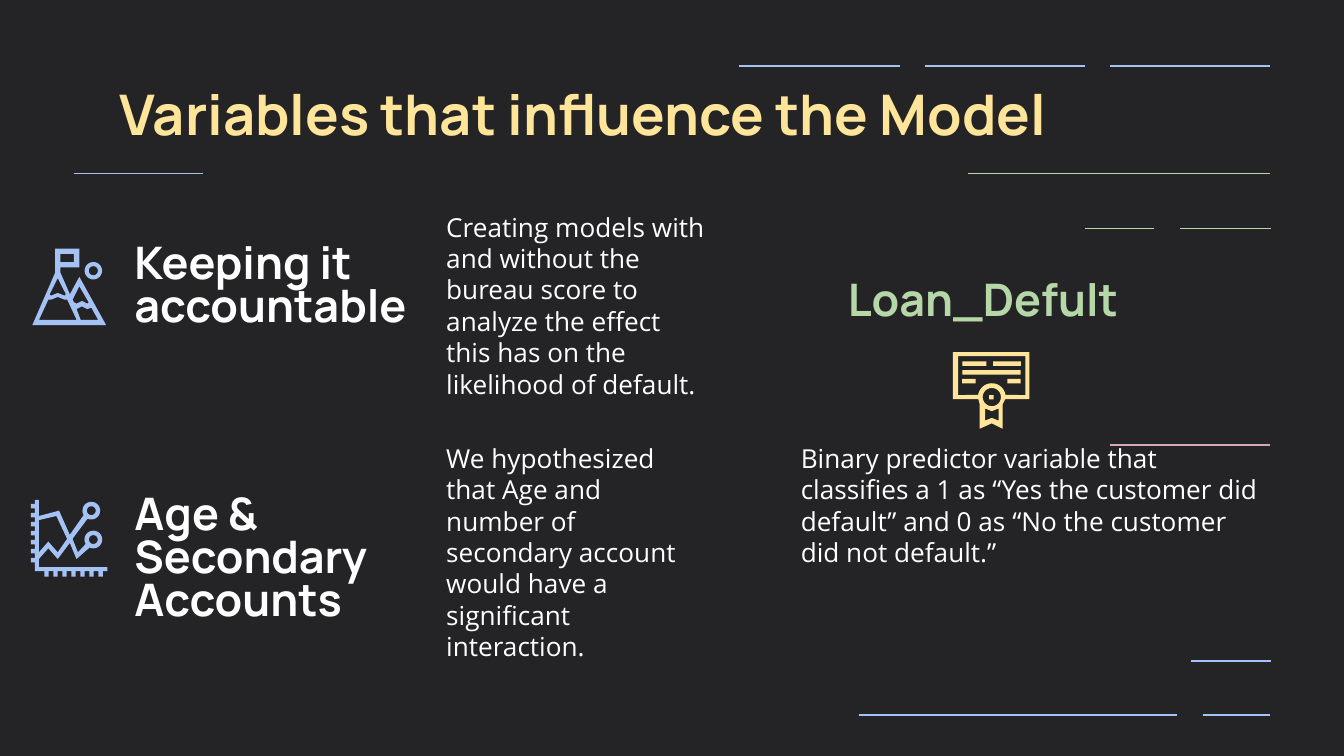
from dataclasses import dataclass
from math import cos, radians, sin

from lxml import etree
from pptx import Presentation
from pptx import util as u
from pptx.dml.color import RGBColor
from pptx.enum import shapes, text
from pptx.oxml.ns import qn

Point = tuple[float, float]
Contour = list[Point]


@dataclass(frozen=True)
class Theme:
    background: str = "242426"
    white: str = "FFFFFF"
    yellow: str = "FFE599"
    blue: str = "A4C2F4"
    green: str = "B6D7A8"
    pink: str = "D5A6BD"
    heading_font: str = "Manrope"
    body_font: str = "Open Sans"
    title_size: int = 30
    heading_size: int = 24
    body_size: int = 14
    line_width: float = 0.75


@dataclass(frozen=True)
class Rule:
    """A horizontal line, in grid units."""
    left: float
    right: float
    row: float
    color: str


@dataclass(frozen=True)
class TextBlock:
    """A text on the grid; placeholder None means a text box."""
    content: str
    placeholder: int | None
    left: float
    top: float
    width: float
    height: float
    font: str
    size: int
    color: str
    bold: bool = True
    spacing: float = 1.0
    top_inset: float = 0


THEME = Theme()
SLIDE_WIDTH, SLIDE_HEIGHT = u.Inches(10), u.Inches(5.625)
COLUMNS = 1000  # square grid cells across the slide


def grid(cells: float) -> u.Emu:
    return u.Emu(round(SLIDE_WIDTH * cells / COLUMNS))


def heading(content: str, placeholder: int | None, left: float, top: float,
            width: float, color: str = THEME.white) -> TextBlock:
    return TextBlock(content, placeholder, left, top, width, 63, THEME.heading_font,
                     THEME.heading_size, color, spacing=0.8)


def body(content: str, placeholder: int | None, left: float, top: float,
         width: float, height: float) -> TextBlock:
    return TextBlock(content, placeholder, left, top, width, height, THEME.body_font,
                     THEME.body_size, THEME.white, bold=False)


RULES = [
    Rule(55, 151, 129, THEME.blue),
    Rule(550, 670, 49, THEME.blue),
    Rule(688, 807, 49, THEME.blue),
    Rule(826, 945, 49, THEME.blue),
    Rule(720, 945, 129, THEME.green),
    Rule(807, 859, 170, THEME.green),
    Rule(878, 946, 170, THEME.green),
    Rule(826, 945, 331, THEME.pink),
    Rule(886, 946, 492, THEME.blue),
    Rule(639, 876, 532, THEME.blue),
    Rule(895, 945, 532, THEME.blue),
]

TEXTS = [
    TextBlock("Variables that influence the Model", 0, 79, 49, 843, 63,
              THEME.heading_font, THEME.title_size, THEME.yellow, top_inset=10),
    heading("Keeping it accountable", 1, 90, 182, 249),
    body("Creating models with and without the bureau score to analyze the effect "
         "this has on the likelihood of default.", 2, 322, 157, 213, 162),
    heading("Age & Secondary Accounts", 3, 90, 369, 291),
    body("We hypothesized that Age and number of secondary account would have a "
         "significant interaction.", 4, 322, 329, 213, 181),
    body("Binary predictor variable that classifies a 1 as “Yes the customer did "
         "default” and 0 as “No the customer did not default.”", None, 586, 329, 361, 103),
    heading("Loan_Defult", None, 621, 210, 233, THEME.green),
]


def set_fill(shape, color: str) -> None:
    shape.shadow.inherit = False
    shape.fill.solid()
    shape.fill.fore_color.rgb = RGBColor.from_string(color)
    shape.line.fill.background()


def draw_rule(slide, rule: Rule) -> None:
    line = slide.shapes.add_connector(shapes.MSO_CONNECTOR.STRAIGHT, grid(rule.left),
                                      grid(rule.row), grid(rule.right), grid(rule.row))
    line.line.color.rgb = RGBColor.from_string(rule.color)
    line.line.width = u.Pt(THEME.line_width)
    etree.SubElement(line._element.spPr, qn("a:effectLst"))


def draw_text(slide, block: TextBlock) -> None:
    box = [grid(cells) for cells in (block.left, block.top, block.width, block.height)]
    if block.placeholder is None:
        shape = slide.shapes.add_textbox(*box)
    else:
        shape = slide.placeholders[block.placeholder]
        shape.left, shape.top, shape.width, shape.height = box
    frame = shape.text_frame
    frame.text = block.content
    frame.word_wrap = True
    frame.auto_size = text.MSO_AUTO_SIZE.NONE
    frame.vertical_anchor = text.MSO_ANCHOR.TOP
    frame.margin_left = frame.margin_right = frame.margin_bottom = grid(10)
    frame.margin_top = grid(block.top_inset)
    paragraph = frame.paragraphs[0]
    paragraph.alignment = text.PP_ALIGN.LEFT
    paragraph.line_spacing = block.spacing
    paragraph.space_before = u.Pt(0)
    # Plain paragraph: no bullet and no hanging indent
    properties = paragraph._p.get_or_add_pPr()
    properties.set("marL", "0")
    properties.set("indent", "0")
    etree.SubElement(properties, qn("a:buNone"))
    font = paragraph.runs[0].font
    font.name, font.size, font.bold = block.font, u.Pt(block.size), block.bold
    font.color.rgb = RGBColor.from_string(block.color)


def arc(x: float, y: float, radius: float, start: float = 0, end: float = 360) -> Contour:
    steps = 24
    angles = [radians(start + (end - start) * step / steps) for step in range(steps + 1)]
    return [(x + radius * cos(angle), y + radius * sin(angle)) for angle in angles]


def draw_outline(parent, contours: list[Contour], color: str) -> None:
    scaled = [[(grid(x), grid(y)) for x, y in contour] for contour in contours]
    builder = parent.build_freeform(*scaled[0][0])
    for number, contour in enumerate(scaled):
        if number:
            builder.move_to(*contour[0])
        builder.add_line_segments(contour[1:], close=True)
    set_fill(builder.convert_to_shape(), color)


def draw_mountain(slide) -> None:
    group = slide.shapes.add_group_shape().shapes
    draw_outline(group, [
        [(41, 185), (41, 203), (24, 242), (79, 242), (59, 206), (52, 219), (45, 203),
         (45, 199), (59, 199), (59, 185)],
        [(45, 189), (55, 189), (55, 195), (45, 195)],
        [(43, 207), (49, 219), (48, 220), (43, 218), (38, 220), (37, 219)],
        [(59, 213), (66, 225), (65, 226), (61, 224), (57, 226), (55, 225), (54, 223)],
        [(43, 221), (48, 223), (50, 223), (57, 238), (29, 238), (36, 223), (38, 223)],
        [(61, 228), (65, 230), (68, 229), (73, 238), (60, 238), (57, 230)],
    ], THEME.blue)
    draw_outline(group, [arc(69.5, 201.5, 6.5), arc(69.5, 201.5, 3.4)], THEME.blue)


def draw_chart_icon(slide) -> None:
    pitch, tooth, ticks = 6.7, 3.3, range(7)
    left_teeth = [(x, 375 + pitch * tick + drop) for tick in ticks
                  for x, drop in ((26, 0), (23, 0), (23, tooth), (26, tooth))]
    bottom_teeth = [(33 + pitch * tick + shift, y) for tick in ticks
                    for shift, y in ((0, 425), (0, 429), (tooth, 429), (tooth, 425))]
    upper, lower = (68, 380), (69.5, 401.5)
    outer, inner, sweep = 6.6, 3.3, (115, -210)
    draw_outline(slide.shapes, [
        [(26, 372), *left_teeth, (26, 425), *bottom_teeth, (80, 425), (80, 422), (29, 422),
         (29, 416), (36, 408), (43, 416), (52, 404), (57, 416), *arc(*lower, outer, *sweep),
         (58, 411), (54, 401), *arc(*upper, outer, *sweep), (52, 398), (44, 380),
         (29, 384), (29, 372)],
        arc(*upper, inner),
        arc(*lower, inner),
        [(42, 384), (50, 401), (43, 411), (36, 403), (29, 411), (29, 387)],
    ], THEME.blue)


def draw_certificate(slide) -> None:
    group = slide.shapes.add_group_shape().shapes
    seal = (738, 295.5)
    draw_outline(group, [
        [(709, 262), (709, 297), (728, 297), (729, 301), (729, 319), (738, 315),
         (746, 319), (746, 301), (748, 297), (766, 297), (766, 262)],
        [(763, 265), (763, 294), *arc(*seal, 10.3, -9, -171), (713, 294), (713, 265)],
        arc(*seal, 6.8),
        [(743, 304), (743, 313), (738, 311), (733, 313), (733, 304), (738, 306)],
    ], THEME.yellow)
    # Text bars and seal centre: left, top, width
    for left, top, width in ((716, 269, 18), (739, 269, 20.5), (716, 275.5, 43.5),
                             (716, 282, 10), (749.5, 282, 10), (736, 294, 3.3)):
        bar = group.add_shape(shapes.MSO_SHAPE.RECTANGLE, grid(left), grid(top),
                              grid(width), grid(3.3))
        set_fill(bar, THEME.yellow)


def main() -> None:
    presentation = Presentation()
    presentation.slide_width, presentation.slide_height = SLIDE_WIDTH, SLIDE_HEIGHT
    # "Comparison" layout: a title and two heading-and-body pairs
    slide = presentation.slides.add_slide(presentation.slide_layouts[4])
    slide.background.fill.solid()
    slide.background.fill.fore_color.rgb = RGBColor.from_string(THEME.background)
    for rule in RULES:
        draw_rule(slide, rule)
    for block in TEXTS:
        draw_text(slide, block)
    draw_mountain(slide)
    draw_chart_icon(slide)
    draw_certificate(slide)
    presentation.save("out.pptx")


if __name__ == "__main__":
    main()
